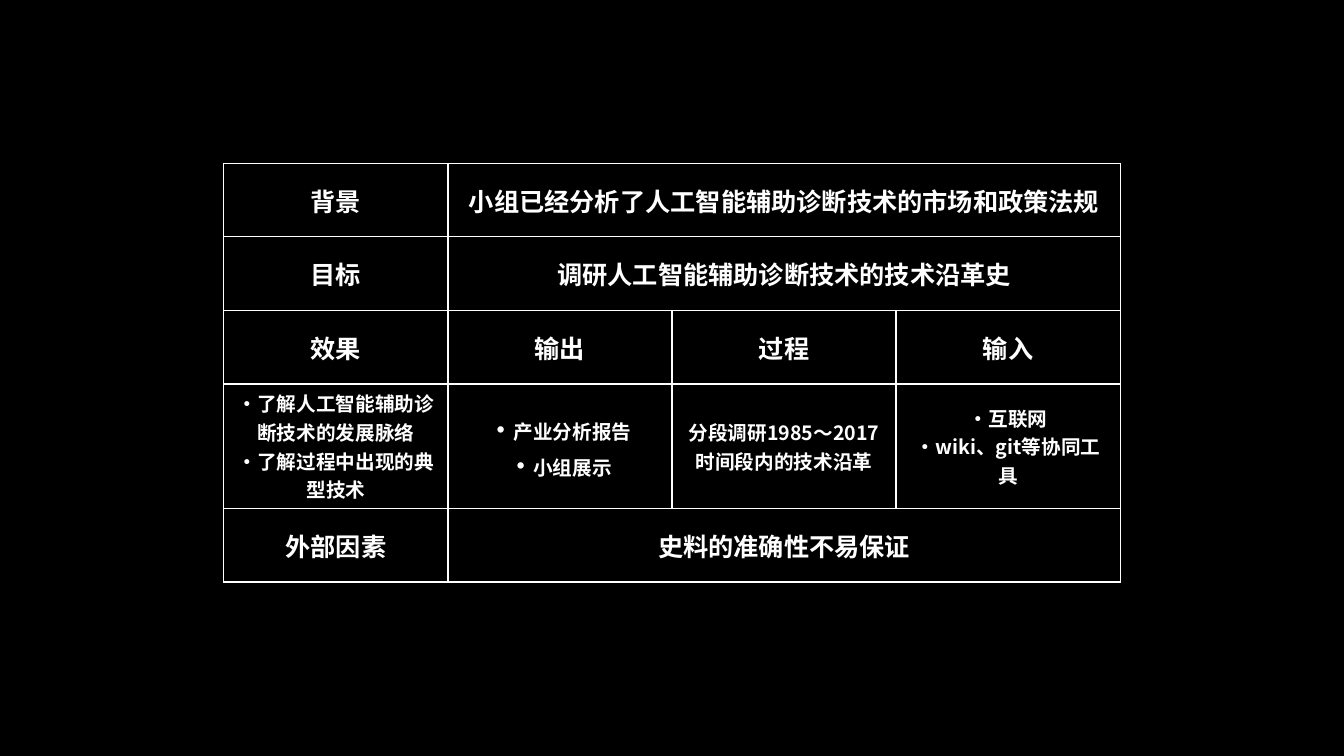
import dataclasses

import lxml.etree
import pptx
import pptx.dml.color
import pptx.enum.text
import pptx.oxml.ns
import pptx.util

Inches = pptx.util.Inches
qn = pptx.oxml.ns.qn


@dataclasses.dataclass(frozen=True)
class Theme:
    """Colours, font and type sizes of the slide."""
    ground: str = "000000"
    ink: str = "FFFFFF"
    font: str = "Noto Sans CJK SC"
    heading: int = 18
    detail: int = 14
    border: int = 1


THEME = Theme()
H, D = THEME.heading, THEME.detail

PLAN = [
    [[[("背景", H)]], [[("小组已经分析了人工智能辅助诊断技术的市场和政策法规", H)]]],
    [[[("目标", H)]], [[("调研人工智能辅助诊断技术的技术沿革史", H)]]],
    [[[(name, H)]] for name in ("效果", "输出", "过程", "输入")],
    [
        [[("·了解人工智能辅助诊断技术的发展脉络", D)], [("·了解过程中出现的典型技术", D)]],
        [[("·", H), (item, D)] for item in ("产业分析报告", "小组展示")],
        [[("分段调研1985～2017时间段内的技术沿革", D)]],
        [[("·互联网", D)], [("·wiki、git等协同工具", D)]],
    ],
    [[[("外部因素", H)]], [[("史料的准确性不易保证", H)]]],
]


def rgb(value):
    """Turn a hex string into a colour."""
    return pptx.dml.color.RGBColor.from_string(value)


def style_cell(cell):
    """Give a cell its borders, fill and vertical centring."""
    tc_pr = cell._tc.get_or_add_tcPr()
    for side in ("a:lnL", "a:lnR", "a:lnT", "a:lnB"):
        line = lxml.etree.SubElement(tc_pr, qn(side), w=str(pptx.util.Pt(THEME.border)))
        fill = lxml.etree.SubElement(line, qn("a:solidFill"))
        lxml.etree.SubElement(fill, qn("a:srgbClr"), val=THEME.ink)
    cell.fill.solid()
    cell.fill.fore_color.rgb = rgb(THEME.ground)
    cell.vertical_anchor = pptx.enum.text.MSO_ANCHOR.MIDDLE


def write_cell(cell, paragraphs):
    """Write centred bold paragraphs, each a list of text and size pairs."""
    tf = cell.text_frame
    for i, runs in enumerate(paragraphs):
        p = tf.add_paragraph() if i else tf.paragraphs[0]
        p.alignment = pptx.enum.text.PP_ALIGN.CENTER
        for text, size in runs:
            r = p.add_run()
            r.text = text
            r.font.size = pptx.util.Pt(size)
            r.font.bold = True
            r.font.color.rgb = rgb(THEME.ink)
            r.font.name = THEME.font
            lxml.etree.SubElement(r.font._element, qn("a:ea"), typeface=THEME.font)


def add_plan_table(s, left, top, width, height):
    """Fill the box with the plan, merging the last cell of each short row."""
    columns = max(len(row) for row in PLAN)
    box = [Inches(v) for v in (left, top, width, height)]
    table = s.shapes.add_table(len(PLAN), columns, *box).table
    for cell in table.iter_cells():
        style_cell(cell)
    for i, row in enumerate(PLAN):
        for j, paragraphs in enumerate(row):
            write_cell(table.cell(i, j), paragraphs)
        if len(row) < columns:
            table.cell(i, len(row) - 1).merge(table.cell(i, columns - 1))


def main():
    """Build the slide and save it."""
    prs = pptx.Presentation()
    prs.slide_width, prs.slide_height = Inches(13.33), Inches(7.5)
    s = prs.slides.add_slide(prs.slide_layouts[6])
    s.background.fill.solid()
    s.background.fill.fore_color.rgb = rgb(THEME.ground)
    add_plan_table(s, 2.22, 1.62, 8.89, 3.65)
    prs.save("out.pptx")


main()
